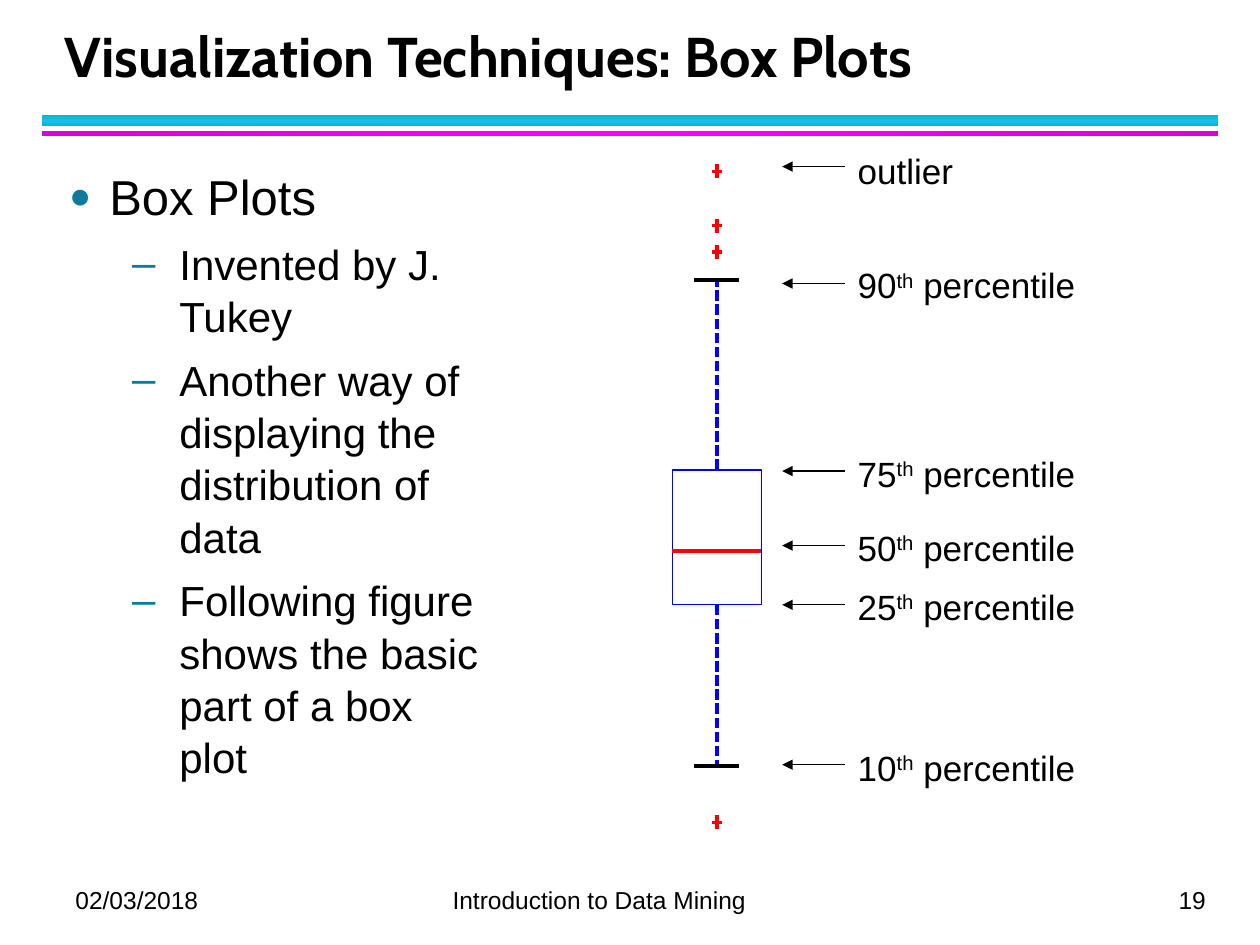
from lxml import etree
from pptx import Presentation
from pptx.dml.color import RGBColor
from pptx.enum import dml, shapes, text
from pptx.oxml import ns
from pptx.util import Pt

COLORS = {
    "black": "000000", "white": "FFFFFF", "blue": "0000FF", "red": "FF0000",
    "bullet": "0C7B9C", "cyan": "12C2E9", "cyan_edge": "10B0D3",
    "magenta": "FF00FF", "magenta_edge": "DA00DA",
}
AXIS_X = 409.6
BOX_TOP, BOX_BOTTOM, BOX_WIDTH = 268.6, 345.6, 50.8
UPPER_END, LOWER_END, MEDIAN = 160, 437.8, 315
OUTLIERS = [98, 144, 129, 470]
ARROW_TIP, LABEL_LEFT = 447, 483

# Arrow height, label top, label width, label height, number
LABELS = [
    (95.2, 84.4, 93, 28, None),
    (437, 425.5, 159, 42.5, "10"),
    (345.6, 333.5, 153, 42.5, "25"),
    (269.2, 257.6, 159, 42, "75"),
    (311.8, 300, 147, 34, "50"),
    (162, 150, 147, 42.5, "90"),
]
POINTS = [
    "Invented by J. Tukey",
    "Another way of displaying the distribution of data",
    "Following figure shows the basic part of a box plot",
]


def rgb(name):
    return RGBColor.from_string(COLORS[name])


def add_xml(parent, tag, **attributes):
    return etree.SubElement(parent, ns.qn(tag), attributes)


def add_run(paragraph, words, size, font="Arial", bold=False, baseline=None):
    run = paragraph.add_run()
    run.text = words
    run.font.size, run.font.name, run.font.bold = Pt(size), font, bold
    run.font.color.rgb = rgb("black")
    if baseline:
        run.font._element.set("baseline", str(baseline))


def add_text(slide, left, top, width, height):
    box = slide.shapes.add_textbox(Pt(left), Pt(top), Pt(width), Pt(height))
    box.text_frame.word_wrap = True
    return box


def add_line(slide, x1, y1, x2, y2, color, width=0):
    line = slide.shapes.add_connector(
        shapes.MSO_CONNECTOR.STRAIGHT, Pt(x1), Pt(y1), Pt(x2), Pt(y2))
    line.line.color.rgb = rgb(color)
    line.line.width = Pt(width)
    add_xml(line._element.spPr, "a:effectLst")
    return line


def add_rectangle(slide, left, top, width, height):
    rectangle = slide.shapes.add_shape(
        shapes.MSO_SHAPE.RECTANGLE, Pt(left), Pt(top), Pt(width), Pt(height))
    rectangle.shadow.inherit = False
    return rectangle


def add_gradient_bar(slide, top, height, middle, edge, angle):
    bar = add_rectangle(slide, 24, top, 672, height)
    bar.line.fill.background()
    bar.fill.gradient()
    bar.fill.gradient_angle = angle
    stops = bar.fill._fill._gradFill.find(ns.qn("a:gsLst"))
    for stop in list(stops):
        stops.remove(stop)
    for position, color in ((0, edge), (50000, middle), (100000, edge)):
        stop = add_xml(stops, "a:gs", pos=str(position))
        add_xml(stop, "a:srgbClr", val=COLORS[color])


def add_bullet(paragraph, symbol, margin, hanging, size=100):
    props = paragraph._p.get_or_add_pPr()
    props.set("marL", str(Pt(margin)))
    props.set("indent", str(-Pt(hanging)))
    color = add_xml(props, "a:buClr")
    add_xml(color, "a:srgbClr", val=COLORS["bullet"])
    add_xml(props, "a:buSzPct", val=str(size * 1000))
    add_xml(props, "a:buFont", typeface="Arial")
    add_xml(props, "a:buChar", char=symbol)


def add_body(slide):
    frame = add_text(slide, 32.4, 90, 255.6, 384).text_frame
    for index, words in enumerate(["Box Plots"] + POINTS):
        heading = index == 0
        paragraph = frame.paragraphs[0] if heading else frame.add_paragraph()
        size = 28 if heading else 24
        paragraph.line_spacing = 1.04
        paragraph.space_before, paragraph.space_after = Pt(size / 10), Pt(4)
        if heading:
            add_bullet(paragraph, "●", 23, 23, 75)
        else:
            paragraph.level = 1
            add_bullet(paragraph, "–", 63, 27)
        add_run(paragraph, words, size)


def add_footer(slide):
    paragraph = add_text(slide, 36, 504, 672, 22.3).text_frame.paragraphs[0]
    paragraph.line_spacing = 0.9
    tabs = add_xml(paragraph._p.get_or_add_pPr(), "a:tabLst")
    for position, align in ((215.5, "l"), (646, "r")):
        add_xml(tabs, "a:tab", pos=str(Pt(position)), algn=align)
    add_run(paragraph, "02/03/2018\tIntroduction to Data Mining\t19", 14)


def add_box_plot(slide):
    left, right = AXIS_X - BOX_WIDTH / 2, AXIS_X + BOX_WIDTH / 2
    quartiles = add_rectangle(slide, left, BOX_TOP, BOX_WIDTH, BOX_BOTTOM - BOX_TOP)
    quartiles.fill.background()
    quartiles.line.color.rgb = rgb("blue")
    quartiles.line.width = Pt(0)

    # Whiskers with end caps
    for start, end, side in ((BOX_TOP, UPPER_END, 0), (BOX_BOTTOM, LOWER_END, 2)):
        whisker = add_line(slide, AXIS_X, start, AXIS_X, end, "blue")
        whisker.line.dash_style = dml.MSO_LINE.SQUARE_DOT
        whisker.begin_connect(quartiles, side)
        add_line(slide, AXIS_X - 12.8, end, AXIS_X + 12.8, end, "black")
    add_line(slide, left, MEDIAN, right, MEDIAN, "red")

    # Outlier crosses
    for y in OUTLIERS:
        add_line(slide, AXIS_X - 3, y, AXIS_X + 3, y, "red")
        add_line(slide, AXIS_X, y - 4, AXIS_X, y + 4, "red")


def add_label(slide, arrow_y, top, width, height, number):
    arrow = add_line(slide, ARROW_TIP, arrow_y, LABEL_LEFT, arrow_y, "black", 0.75)
    add_xml(arrow.line._get_or_add_ln(), "a:headEnd", type="triangle")
    label = add_text(slide, LABEL_LEFT, top, width, height)
    label.fill.solid()
    label.fill.fore_color.rgb = rgb("white")
    paragraph = label.text_frame.paragraphs[0]
    paragraph.line_spacing, paragraph.space_after = 0.9, Pt(4)
    if number:
        add_run(paragraph, number, 20)
        add_run(paragraph, "th", 20, baseline=30000)
        add_run(paragraph, " percentile", 20)
    else:
        add_run(paragraph, "outlier", 20)


def main():
    deck = Presentation()
    deck.slide_width, deck.slide_height = Pt(720), Pt(540)
    slide = deck.slides.add_slide(deck.slide_layouts[6])

    # Title and rules
    add_gradient_bar(slide, 66, 6, "cyan", "cyan_edge", 90)
    add_gradient_bar(slide, 75, 3, "magenta", "magenta_edge", 0)
    title = add_text(slide, 30, 12, 652, 42).text_frame
    title.vertical_anchor = text.MSO_ANCHOR.BOTTOM
    title.paragraphs[0].line_spacing = Pt(36)
    add_run(title.paragraphs[0], "Visualization Techniques: Box Plots", 32, "Cabin", True)

    # Content
    add_body(slide)
    add_box_plot(slide)
    for label in LABELS:
        add_label(slide, *label)
    add_footer(slide)
    deck.save("out.pptx")


if __name__ == "__main__":
    main()
